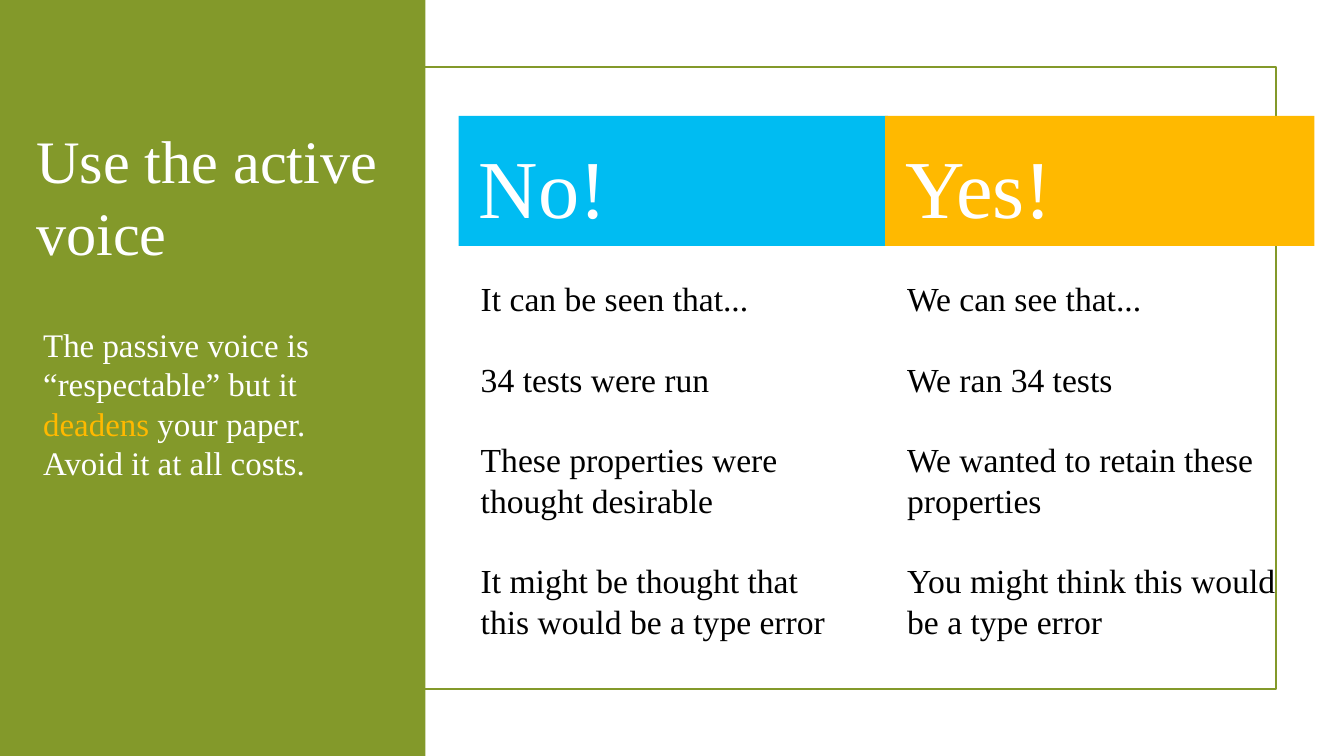
from dataclasses import dataclass

from pptx import Presentation
from pptx import util as u
from pptx.dml.color import RGBColor
from pptx.enum import shapes, text


@dataclass(frozen=True)
class Theme:
    """Colours, type sizes and font of the slide."""
    font: str = "Times New Roman"
    green: str = "83992A"
    blue: str = "00BCF2"
    amber: str = "FFB900"
    white: str = "FFFFFF"
    black: str = "000000"
    title: float = 43.1
    lead: float = 23.5
    heading: float = 58.8
    example: float = 24
    leading: float = 1.2


THEME = Theme()
COLUMNS = [
    ("No!", THEME.blue, 284.4, [
        "It can be seen that...",
        "34 tests were run",
        "These properties were thought desirable",
        "It might be thought that this would be a type error",
    ]),
    ("Yes!", THEME.amber, 301.7, [
        "We can see that...",
        "We ran 34 tests",
        "We wanted to retain these properties",
        "You might think this would be a type error",
    ]),
]


def add_rectangle(page, left, top, width, height, fill=None, line=None):
    """Add a flat rectangle with an optional fill and outline."""
    box = page.shapes.add_shape(shapes.MSO_SHAPE.RECTANGLE, u.Pt(left),
                                u.Pt(top), u.Pt(width), u.Pt(height))
    box.shadow.inherit = False
    if fill:
        box.fill.solid()
        box.fill.fore_color.rgb = RGBColor.from_string(fill)
    else:
        box.fill.background()
    if line:
        box.line.color.rgb = RGBColor.from_string(line)
        box.line.width = u.Pt(1.25)
    else:
        box.line.fill.background()
    return box


def write(box, paragraphs, size, inset, gap=0):
    """Fill a box with paragraphs, each a list of (words, colour) spans."""
    frame = box.text_frame
    frame.word_wrap = True
    frame.vertical_anchor = text.MSO_ANCHOR.TOP
    side, edge = inset
    frame.margin_left = frame.margin_right = u.Pt(side)
    frame.margin_top = u.Pt(edge + 0.05 * size)
    frame.margin_bottom = u.Pt(edge)
    for index, spans in enumerate(paragraphs):
        para = frame.add_paragraph() if index else frame.paragraphs[0]
        para.alignment = text.PP_ALIGN.LEFT
        para.line_spacing = u.Pt(THEME.leading * size)
        para.space_before = u.Pt(gap if index else 0)
        for words, colour in spans:
            span = para.add_run()
            span.text = words
            span.font.name = THEME.font
            span.font.size = u.Pt(size)
            span.font.color.rgb = RGBColor.from_string(colour)


def add_text(page, left, top, width, height, paragraphs, size, inset, gap=0):
    """Add a wrapped text box."""
    box = page.shapes.add_textbox(u.Pt(left), u.Pt(top), u.Pt(width), u.Pt(height))
    write(box, paragraphs, size, inset, gap)


def add_column(page, index, heading, colour, width, examples):
    """Add a coloured heading with its examples below."""
    inset = (14.4, 11.5)
    left = 327.6 + index * 304.6
    box = add_rectangle(page, left, 82.8, 306.7, 92.9, fill=colour)
    write(box, [[(heading, THEME.white)]], THEME.heading, inset)
    add_text(page, left + 1.4, 185.8, width, 284.4,
             [[(example, THEME.black)] for example in examples],
             THEME.example, inset, gap=THEME.leading * THEME.example)


def main():
    """Build the slide and save it."""
    deck = Presentation()
    deck.slide_width, deck.slide_height = u.Pt(960), u.Pt(540)
    page = deck.slides.add_slide(deck.slide_layouts[6])
    add_rectangle(page, 47.5, 48, 864, 444, line=THEME.green)
    add_rectangle(page, 0, 0, 303.8, 540, fill=THEME.green)
    inset = (7.2, 3.6)
    add_text(page, 23.8, 226.8, 256.3, 116.6, [[
        ("The passive voice is “respectable” but it ", THEME.white),
        ("deadens", THEME.amber),
        (" your paper. Avoid it at all costs.", THEME.white),
    ]], THEME.lead, inset)
    add_text(page, 18.7, 82, 267, 116.6,
             [[("Use the active voice", THEME.white)]], THEME.title, inset)
    for index, column in enumerate(COLUMNS):
        add_column(page, index, *column)
    deck.save("out.pptx")


if __name__ == "__main__":
    main()
